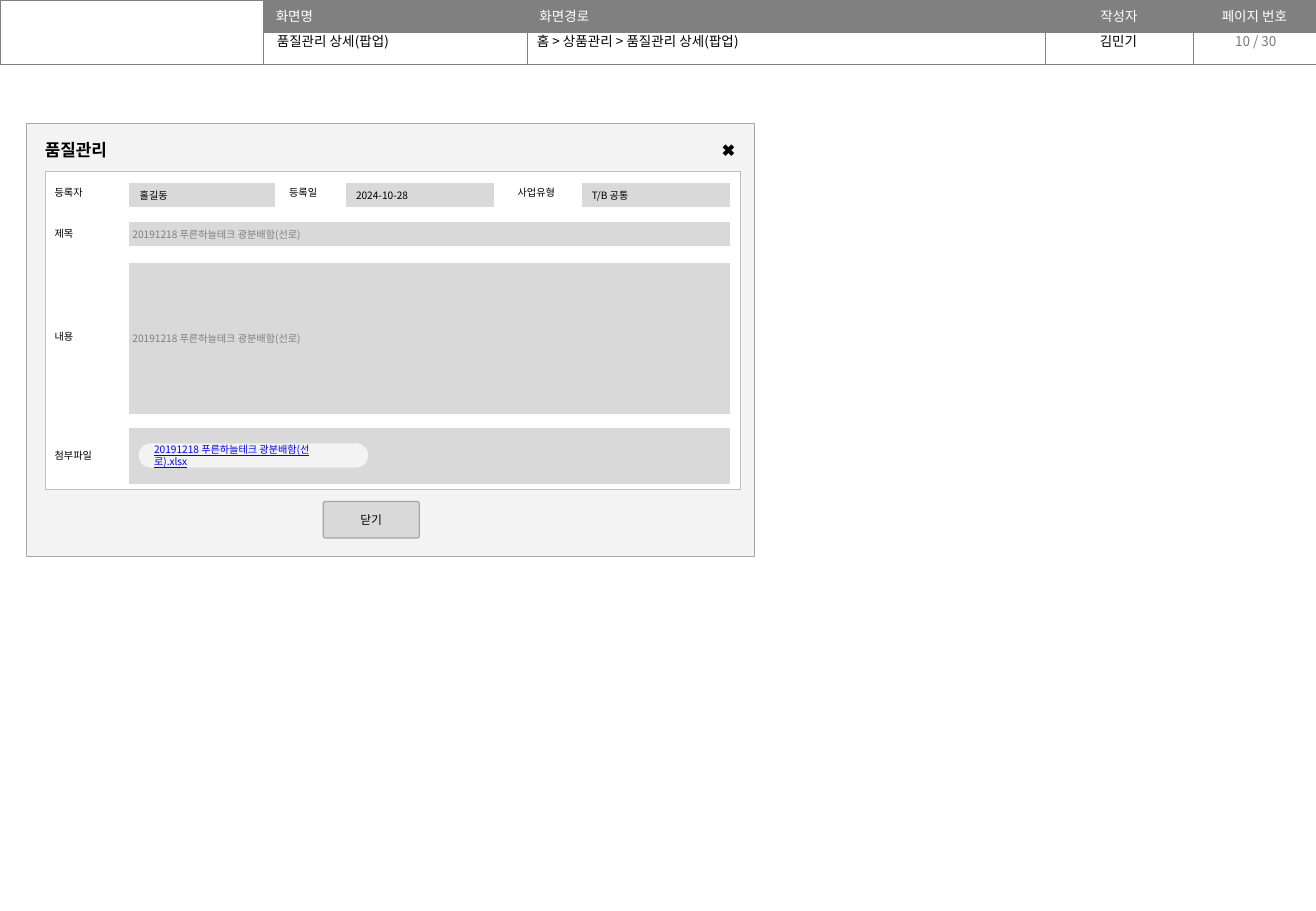
from dataclasses import dataclass

from lxml.etree import SubElement
from pptx import Presentation
from pptx.dml.color import RGBColor
from pptx.enum.shapes import MSO_SHAPE as Shape
from pptx.enum.text import MSO_ANCHOR as Anchor, PP_ALIGN as Align
from pptx.oxml.ns import qn
from pptx.util import Inches, Pt


@dataclass(frozen=True)
class Theme:
    """Colours, font and type sizes of the slide."""
    font: str = "Noto Sans CJK KR"
    white: str = "FFFFFF"
    black: str = "000000"
    header: str = "808080"
    page_number: str = "797979"
    panel: str = "F3F3F3"
    panel_edge: str = "A6A6A6"
    form_edge: str = "BFBFBF"
    field: str = "D9D9D9"
    muted: str = "808080"
    link: str = "0000FF"
    header_size: float = 8
    title_size: float = 10
    form_size: float = 6
    button_size: float = 7
    hairline: float = 0.25
    thin: float = 0.75


@dataclass(frozen=True)
class Box:
    """A rectangle in inches."""
    left: float
    top: float
    width: float
    height: float

    def inner(self, dx, dy, width, height):
        """Return a box offset from this one's top left corner."""
        return Box(self.left + dx, self.top + dy, width, height)

    def emu(self):
        """Return left, top, width and height as lengths."""
        return [Inches(v) for v in (self.left, self.top, self.width, self.height)]


THEME = Theme()
SUBJECT = "20191218 푸른하늘테크 광분배함(선로)"


def write(frame, text, size, color=THEME.black, align=Align.LEFT, bold=False, underline=False):
    """Put one styled paragraph into a text frame."""
    frame.text = text
    paragraph = frame.paragraphs[0]
    paragraph.alignment = align
    font = paragraph.font
    font.size, font.bold, font.underline = Pt(size), bold, underline
    font.color.rgb = RGBColor.from_string(color)
    font.name = THEME.font
    SubElement(font._element, qn("a:ea"), typeface=THEME.font)
    if not text:
        paragraph._p.get_or_add_endParaRPr().set("sz", str(int(size * 100)))


def set_margins(target, horizontal, vertical):
    """Set the four text margins of a cell or a text frame."""
    target.margin_left = target.margin_right = Inches(horizontal)
    target.margin_top = target.margin_bottom = Inches(vertical)


def set_borders(cell, sides, color, width):
    """Draw solid borders on the given sides and clear the others."""
    for side in "LRTB":
        line = SubElement(cell._tc.get_or_add_tcPr(), qn(f"a:ln{side}"), w=str(Pt(width)))
        if side in sides:
            SubElement(SubElement(line, qn("a:solidFill")), qn("a:srgbClr"), val=color)
        else:
            SubElement(line, qn("a:noFill"))


def set_fill(target, color):
    """Fill a cell or shape, or clear it when no colour is given."""
    if color:
        target.fill.solid()
        target.fill.fore_color.rgb = RGBColor.from_string(color)
    else:
        target.fill.background()


def add_grid(slide, box, columns, rows):
    """Add a table without style bands and return it."""
    table = slide.shapes.add_table(len(rows), len(columns), *box.emu()).table
    table.first_row = table.horz_banding = False
    for column, width in zip(table.columns, columns):
        column.width = Inches(width)
    for row, height in zip(table.rows, rows):
        row.height = Inches(height)
    return table


def add_label(slide, box, text, color=THEME.black, align=Align.LEFT, anchor=Anchor.TOP):
    """Add a header value as a text box."""
    frame = slide.shapes.add_textbox(*box.emu()).text_frame
    frame.word_wrap = True
    frame.vertical_anchor = anchor
    write(frame, text, THEME.header_size, color, align)


def add_panel(slide, box, fill=None, edge=None, radius=0, text="", margin=0, **style):
    """Add a rounded rectangle with optional text and return it."""
    panel = slide.shapes.add_shape(Shape.ROUNDED_RECTANGLE, *box.emu())
    panel.adjustments[0] = radius
    panel.shadow.inherit = False
    set_fill(panel, fill)
    if edge:
        panel.line.color.rgb = RGBColor.from_string(edge)
        panel.line.width = Pt(THEME.thin)
    else:
        panel.line.fill.background()
    if text:
        frame = panel.text_frame
        frame.word_wrap = True
        frame.vertical_anchor = Anchor.MIDDLE
        set_margins(frame, margin, margin)
        write(frame, text, **style)
    return panel


def add_field(slide, box, text="", color=THEME.black, margin=0.08):
    """Add a grey input field."""
    cell = add_grid(slide, box, [box.width], [box.height]).cell(0, 0)
    set_borders(cell, "LRTB", THEME.field, THEME.thin)
    set_fill(cell, THEME.field)
    set_margins(cell, margin, 0.02)
    cell.vertical_anchor = Anchor.MIDDLE
    write(cell.text_frame, text, THEME.form_size, color)


def add_header(slide, box):
    """Add the screen header band with its values."""
    columns = [2.17, 2.17, 4.26, 1.22, 1.01]
    headings = ["", "화면명", "화면경로", "작성자", "페이지 번호"]
    table = add_grid(slide, box, columns, [box.height / 2] * 2)
    table.cell(0, 0).merge(table.cell(1, 0))
    for r in range(2):
        for c, heading in enumerate(headings):
            cell = table.cell(r, c)
            set_borders(cell, "LRTB", THEME.header, THEME.hairline)
            set_fill(cell, THEME.header if r == 0 and c else None)
            write(cell.text_frame, heading if r == 0 else "", THEME.header_size,
                  THEME.white, Align.CENTER if c > 2 else Align.LEFT)
    add_label(slide, box.inner(8.59, 0.22, 1.23, 0.24), "김민기", align=Align.CENTER)
    add_label(slide, box.inner(9.83, 0.22, 1.01, 0.24), "10 / 30",
              THEME.page_number, Align.CENTER, Anchor.MIDDLE)
    add_label(slide, box.inner(2.18, 0.22, 2.15, 0.24), "품질관리 상세(팝업)")
    add_label(slide, box.inner(4.32, 0.22, 2.15, 0.24), "홈 > 상품관리 > 품질관리 상세(팝업)")


def add_form(slide, box):
    """Add the form grid with its labels, fields and attachment."""
    labels = {(0, 0): "등록자", (0, 2): "등록일", (0, 4): "사업유형",
              (1, 0): "제목", (2, 0): "내용", (3, 0): "첨부파일"}
    columns, rows = [0.6, 1.33, 0.48, 1.4, 0.53, 1.38], [0.35, 0.32, 1.38, 0.57]
    table = add_grid(slide, box, columns, rows)
    table.cell(3, 1).merge(table.cell(3, 5))
    for r in range(len(rows)):
        for c in range(len(columns)):
            cell = table.cell(r, c)
            edges = {"L": c == 0, "R": c == 5 or cell.is_merge_origin, "T": r == 0, "B": r == 3}
            set_borders(cell, [side for side, on in edges.items() if on],
                        THEME.form_edge, THEME.hairline)
            set_fill(cell, THEME.white)
            set_margins(cell, 0.08, 0.04)
            cell.vertical_anchor = Anchor.MIDDLE
            write(cell.text_frame, labels.get((r, c), ""), THEME.form_size)

    add_field(slide, box.inner(0.7, 2.12, 4.93, 0.45))
    for dx, width, value in [(0.7, 1.19, "홀길동"), (2.48, 1.21, "2024-10-28"),
                             (4.42, 1.21, "T/B 공통")]:
        add_field(slide, box.inner(dx, 0.1, width, 0.19), value)
    for dy, height in [(0.42, 0.19), (0.76, 1.23)]:
        add_field(slide, box.inner(0.7, dy, 4.93, height), SUBJECT, THEME.muted, 0.02)
    attachment = add_panel(slide, box.inner(0.77, 2.24, 1.89, 0.2), THEME.panel, radius=0.5,
                           text=f"{SUBJECT}.xlsx", margin=0.1, size=THEME.form_size,
                           color=THEME.link, underline=True)
    attachment.text_frame.margin_right = Inches(0.33)


def add_popup(slide, box):
    """Add the quality management popup."""
    add_panel(slide, box, THEME.panel, THEME.panel_edge)
    add_panel(slide, box.inner(0.15, 0.06, 3.94, 0.3), text="품질관리",
              size=THEME.title_size, bold=True)
    add_panel(slide, box.inner(5.64, 0.06, 0.27, 0.3), text="✖",
              size=THEME.title_size, align=Align.CENTER)
    add_form(slide, box.inner(0.15, 0.39, 5.72, 2.62))
    add_panel(slide, box.inner(2.44, 3.11, 0.79, 0.3), THEME.field, THEME.panel_edge, 0.06,
              "닫기", 0.1, size=THEME.button_size, align=Align.CENTER)


def main():
    """Build the slide and save it."""
    deck = Presentation()
    deck.slide_width, deck.slide_height = Inches(10.83), Inches(7.5)
    slide = deck.slides.add_slide(deck.slide_layouts[6])
    add_header(slide, Box(0, 0, 10.83, 0.53))
    add_popup(slide, Box(0.22, 1.02, 5.99, 3.56))
    deck.save("out.pptx")


if __name__ == "__main__":
    main()
